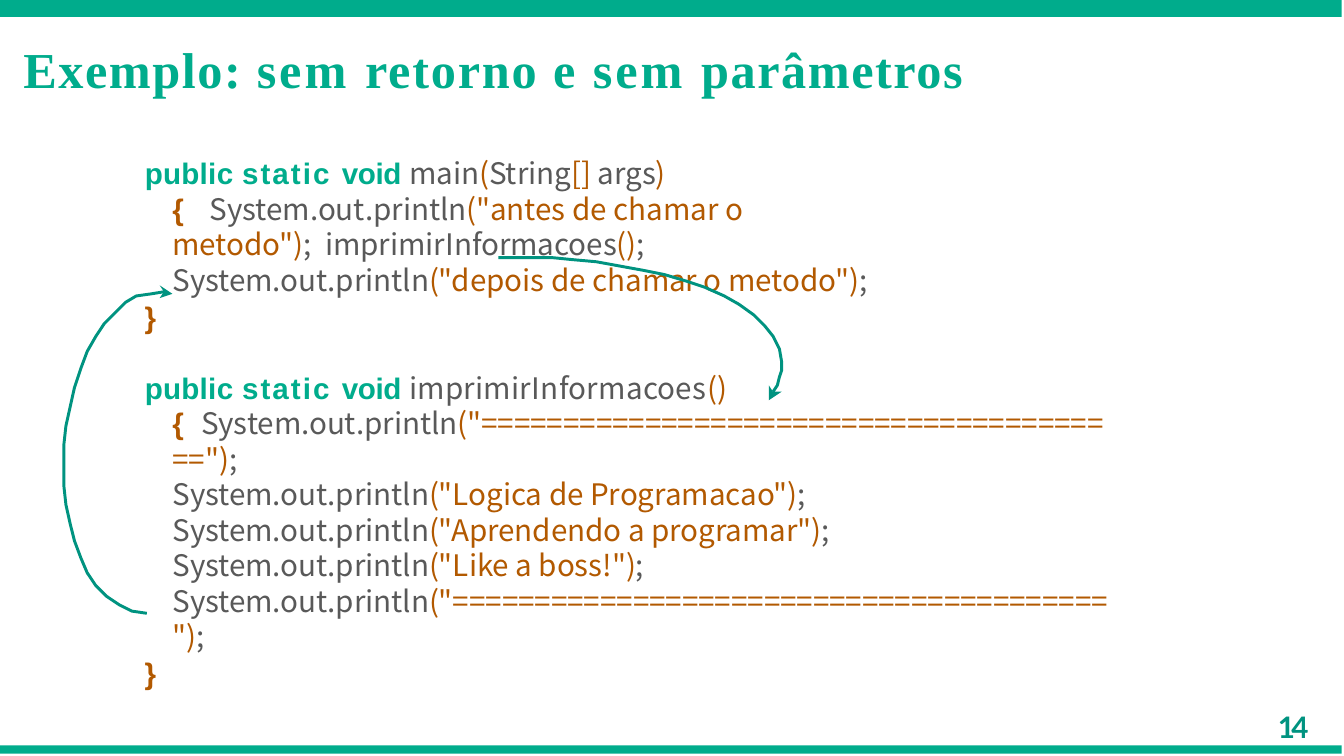
"""Build a slide that traces a call to a Java method without return or parameters."""
import pptx
import pptx.dml.color
import pptx.enum.shapes
import pptx.enum.text
import pptx.util
from pptx.util import Inches

GREEN = "00AC8C"
TEAL = "009380"
GREY = "595959"
BROWN = "B25900"

STYLES = {
    "title": ("Times New Roman", 17, GREEN, True),
    "keyword": ("Arial", 10, GREEN, True),
    "brace": ("Arial", 10, BROWN, True),
    "code": ("Noto Sans CJK SC", 10, GREY, False),
    "literal": ("Noto Sans CJK SC", 10, BROWN, False),
    "number": ("Lato", 10, TEAL, True),
}

CALL_CURVE = [
    (2.34, 1.21), (2.49, 1.21), (2.59, 1.21), (2.69, 1.22), (2.8, 1.23),
    (2.91, 1.25), (3.02, 1.27), (3.12, 1.29), (3.22, 1.32), (3.31, 1.35),
    (3.4, 1.39), (3.47, 1.43), (3.54, 1.48), (3.59, 1.53), (3.63, 1.58),
    (3.66, 1.64), (3.67, 1.7), (3.67, 1.74), (3.66, 1.77), (3.65, 1.81),
    (3.63, 1.84),
]
CALL_HEAD = [(3.67, 1.84), (3.63, 1.84), (3.61, 1.81), (3.61, 1.88)]
RETURN_CURVE = [
    (0.69, 2.88), (0.62, 2.87), (0.56, 2.84), (0.5, 2.8), (0.45, 2.75),
    (0.41, 2.69), (0.38, 2.62), (0.35, 2.54), (0.33, 2.46), (0.31, 2.37),
    (0.3, 2.28), (0.3, 2.19), (0.3, 2.09), (0.31, 2), (0.33, 1.91),
    (0.35, 1.82), (0.38, 1.73), (0.41, 1.65), (0.45, 1.58), (0.49, 1.52),
    (0.54, 1.47), (0.59, 1.42), (0.64, 1.39), (0.71, 1.38), (0.77, 1.37),
]
RETURN_HEAD = [(0.75, 1.34), (0.77, 1.37), (0.75, 1.4), (0.81, 1.38)]


def rgb(value):
    return pptx.dml.color.RGBColor.from_string(value)


def signature(name, spacing=0):
    return [
        ("keyword", "public ", 0.1), ("keyword", "static ", 0.7),
        ("keyword", "void ", -0.1), ("code", name, spacing),
    ]


def println(text):
    return [
        ("code", "System.out.println", 0), ("literal", f'("{text}")', 0),
        ("code", ";", 0),
    ]


def add_bar(slide, top, height):
    sp = slide.shapes.add_shape(
        pptx.enum.shapes.MSO_SHAPE.RECTANGLE,
        0, Inches(top), Inches(6.3), Inches(height))
    sp.shadow.inherit = False
    sp.fill.solid()
    sp.fill.fore_color.rgb = rgb(GREEN)
    sp.line.fill.background()


def add_path(slide, points, closed):
    start, *rest = [(Inches(x), Inches(y)) for x, y in points]
    builder = slide.shapes.build_freeform(*start)
    builder.add_line_segments(rest, close=closed)
    sp = builder.convert_to_shape()
    sp.shadow.inherit = False
    return sp


def add_arrow(slide, curve, head):
    sp = add_path(slide, curve, False)
    sp.fill.background()
    sp.line.color.rgb = rgb(TEAL)
    sp.line.width = pptx.util.Pt(1)
    sp = add_path(slide, head, True)
    sp.fill.solid()
    sp.fill.fore_color.rgb = rgb(TEAL)
    sp.line.fill.background()


def place_text(sp, left, top, width, height, inset):
    sp.left, sp.top = Inches(left), Inches(top)
    sp.width, sp.height = Inches(width), Inches(height)
    tf = sp.text_frame
    tf.word_wrap = True
    tf.auto_size = pptx.enum.text.MSO_AUTO_SIZE.NONE
    tf.vertical_anchor = pptx.enum.text.MSO_ANCHOR.TOP
    tf.margin_left = tf.margin_right = tf.margin_bottom = 0
    tf.margin_top = Inches(inset)
    return tf


def add_run(p, style, text, spacing):
    font, size, color, bold = STYLES[style]
    for i, part in enumerate(text.split("\n")):
        if i:
            p.add_line_break()
        if part:
            r = p.add_run()
            r.text = part
            r.font.name = font
            r.font.size = pptx.util.Pt(size)
            r.font.bold = bold
            r.font.color.rgb = rgb(color)
            r._r.get_or_add_rPr().set("spc", str(round(spacing * 100)))


def fill_paragraph(p, runs, before, left, first=0):
    p.alignment = pptx.enum.text.PP_ALIGN.LEFT
    p.space_before = pptx.util.Pt(before)
    pPr = p._p.get_or_add_pPr()
    pPr.set("marL", str(Inches(left)))
    pPr.set("indent", str(Inches(first)))
    for run in runs:
        add_run(p, *run)


def add_code(slide):
    equals = "=" * 40
    brace = [("brace", "}", 0)]
    main_method = [
        *signature("main"), ("literal", "(", 0), ("code", "String", 0),
        ("literal", "[] ", 0), ("code", "args", 0), ("literal", ")\n", 0),
        ("brace", "{ ", 3), *println("antes de chamar o\nmetodo"),
        ("code", " ", 2.4), ("code", "imprimirInformacoes", 0),
        ("literal", "()", 0), ("code", ";\n", 0),
        *println("depois de chamar o metodo"),
    ]
    print_method = [
        *signature("imprimirInformacoes", 0.1), ("literal", "()\n", 0.1),
        ("brace", "{ ", 1.5), *println(equals[:38] + "\n" + equals[38:]),
    ]
    messages = ["Logica de Programacao", "Aprendendo a programar",
                "Like a boss!", equals + "\n"]
    paragraphs = [
        (main_method, 1, 0.14, -0.13),
        (brace, 0.5, 0.01),
        (print_method, 12, 0.14, -0.13),
        *[(println(message), 0, 0.14) for message in messages],
        (brace, 0.5, 0.01),
    ]
    sp = slide.shapes.add_textbox(0, 0, 0, 0)
    tf = place_text(sp, 0.67, 0.72, 4.7, 2.55, 0.01)
    for i, paragraph in enumerate(paragraphs):
        p = tf.add_paragraph() if i else tf.paragraphs[0]
        p.line_spacing = pptx.util.Pt(12)
        fill_paragraph(p, *paragraph)


def add_title(slide):
    tf = place_text(slide.shapes.title, 0.1, 0.16, 4.6, 0.32, 0.02)
    words = [("Exemplo: ", 0.5), ("sem ", 1), ("retorno ", 0.6),
             ("e ", 0.8), ("sem ", 1), ("parâmetros", 0.5)]
    runs = [("title", word, spacing) for word, spacing in words]
    fill_paragraph(tf.paragraphs[0], runs, 1.2, 0.01)


def add_page_number(slide):
    sp = slide.shapes.add_textbox(0, 0, 0, 0)
    tf = place_text(sp, 5.96, 3.31, 0.23, 0.21, 0.02)
    fill_paragraph(tf.paragraphs[0], [("number", "14", -1.2)], 1.2, 0.04)


def main():
    prs = pptx.Presentation()
    prs.slide_width, prs.slide_height = Inches(6.31), Inches(3.55)
    slide = prs.slides.add_slide(prs.slide_layouts[5])
    add_bar(slide, 0, 0.08)
    add_title(slide)
    add_code(slide)
    add_arrow(slide, CALL_CURVE, CALL_HEAD)
    add_arrow(slide, RETURN_CURVE, RETURN_HEAD)
    add_bar(slide, 3.5, 0.04)
    add_page_number(slide)
    prs.save("out.pptx")


if __name__ == "__main__":
    main()
